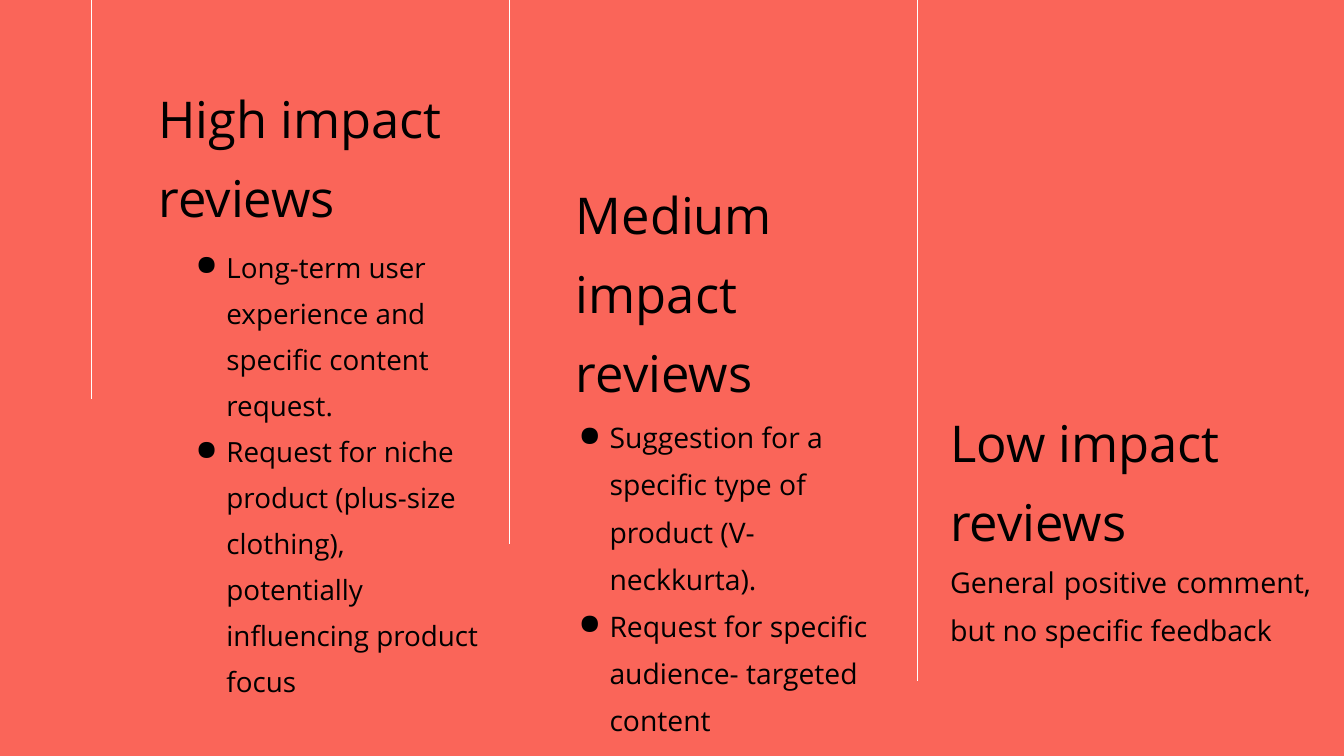
from lxml import etree
from pptx import Presentation
from pptx.dml.color import RGBColor
from pptx.enum.text import MSO_AUTO_SIZE as AutoSize, PP_ALIGN as Align
from pptx.oxml.ns import qn
from pptx.util import Inches, Pt

FONT = "Open Sans"
BACKGROUND, RULE, TEXT = "FA6559", "FFFFFF", "000000"
RULE_WIDTH = 0.01
HEAD = {"size": 54.3, "spacing": 1.3}
HIGH = {"size": 29.8, "spacing": 1.38, "indent": 1}
MEDIUM = {"size": 30.3, "spacing": 1.39, "indent": 0.5}
LOW = {"size": 30.6, "spacing": 1.4, "align": Align.JUSTIFY}

# Vertical rules: left, length
RULES = [(1.36, 5.94), (7.57, 8.09), (13.65, 10.13)]

# Text boxes: (left, top, width, height), [(text, style), ...]
BOXES = [
    ((2.36, 1.03, 4.3, 1.97), [("High impact reviews", HEAD)]),
    ((8.57, 2.46, 2.98, 2.95), [("Medium impact reviews", HEAD)]),
    ((14.14, 5.85, 5.37, 3.61), [
        ("Low impact reviews", HEAD),
        ("General positive comment, but no specific feedback", LOW),
    ]),
    ((2.37, 3.54, 4.79, 6.75), [
        ("Long-term user experience and specific content request.", HIGH),
        ("Request for niche product (plus-size clothing), potentially "
         "influencing product focus", HIGH),
    ]),
    ((8.57, 6.06, 4.79, 4.75), [
        ("Suggestion for a specific type of product (V-neckkurta).", MEDIUM),
        ("Request for specific audience- targeted content", MEDIUM),
    ]),
]


def paint(fill, color):
    fill.solid()
    fill.fore_color.rgb = RGBColor.from_string(color)


def add_rule(slide, left, length):
    x1, x2, bottom = Inches(left), Inches(left + RULE_WIDTH), Inches(length)
    builder = slide.shapes.build_freeform(x1, 0)
    builder.add_line_segments([(x1, bottom), (x2, bottom), (x2, 0)], close=True)
    sp = builder.convert_to_shape()
    sp.shadow.inherit = False
    paint(sp.fill, RULE)
    sp.line.fill.background()


def add_bullet(p, indent):
    pPr = p._p.get_or_add_pPr()
    pPr.set("marL", str(Inches(indent)))
    pPr.set("indent", str(Inches(-0.46)))
    color = etree.SubElement(pPr, qn("a:buClr"))
    etree.SubElement(color, qn("a:srgbClr"), val=TEXT)
    etree.SubElement(pPr, qn("a:buChar"), char="●")


def add_text(slide, place, paragraphs):
    tf = slide.shapes.add_textbox(*map(Inches, place)).text_frame
    tf.word_wrap = True
    tf.auto_size = AutoSize.SHAPE_TO_FIT_TEXT
    tf.margin_left = tf.margin_top = tf.margin_right = tf.margin_bottom = 0
    for i, (text, style) in enumerate(paragraphs):
        p = tf.add_paragraph() if i else tf.paragraphs[0]
        if "indent" in style:
            add_bullet(p, style["indent"])
        p.alignment = style.get("align", Align.LEFT)
        p.line_spacing = style["spacing"]
        r = p.add_run()
        r.text = text
        r.font.name = FONT
        r.font.size = Pt(style["size"])
        paint(r.font.fill, TEXT)


def main():
    prs = Presentation()
    prs.slide_width, prs.slide_height = Inches(20), Inches(11.25)
    slide = prs.slides.add_slide(prs.slide_layouts[6])
    paint(slide.background.fill, BACKGROUND)
    for left, length in RULES:
        add_rule(slide, left, length)
    for place, paragraphs in BOXES:
        add_text(slide, place, paragraphs)
    prs.save("out.pptx")


if __name__ == "__main__":
    main()
